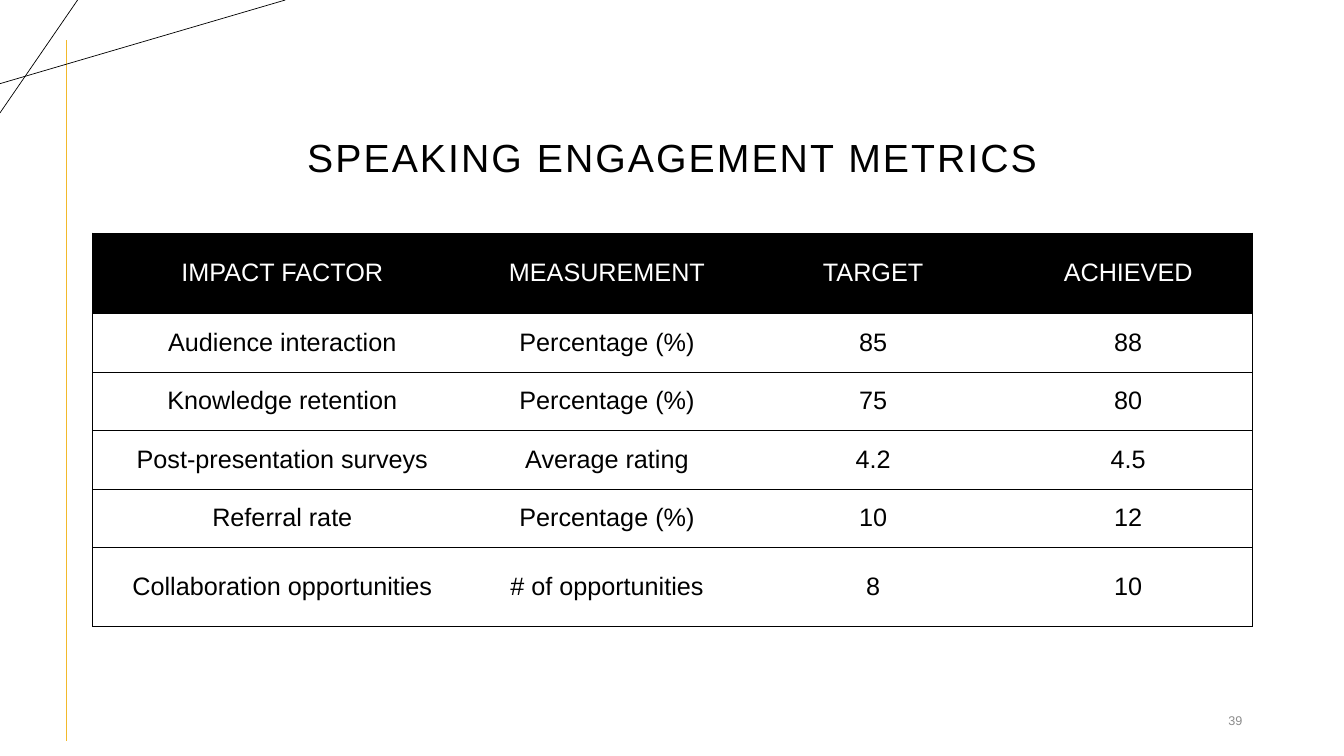
import pptx
import pptx.util
import pptx.dml.color
import pptx.enum.shapes
import pptx.enum.text
import pptx.oxml
import pptx.oxml.ns

Inches = pptx.util.Inches
Pt = pptx.util.Pt
ALIGN = pptx.enum.text.PP_ALIGN
ANCHOR = pptx.enum.text.MSO_ANCHOR
FONT = "Arial"
BLACK, WHITE, GOLD, GRAY = "000000", "FFFFFF", "F2B92B", "8C8C8C"

COLUMN_WIDTHS = [3.76, 2.68, 2.6, 2.46]
ROW_HEIGHTS = [0.8, 0.58, 0.58, 0.58, 0.58, 0.78]
METRICS = [
    ["IMPACT FACTOR", "MEASUREMENT", "TARGET", "ACHIEVED"],
    ["Audience interaction", "Percentage (%)", "85", "88"],
    ["Knowledge retention", "Percentage (%)", "75", "80"],
    ["Post-presentation surveys", "Average rating", "4.2", "4.5"],
    ["Referral rate", "Percentage (%)", "10", "12"],
    ["Collaboration opportunities", "# of opportunities", "8", "10"],
]


def rgb(color):
    """Turn a hex string into a colour."""
    return pptx.dml.color.RGBColor.from_string(color)


def format_text(tf, size, color, align):
    """Format the only paragraph of a text frame."""
    p = tf.paragraphs[0]
    p.alignment = align
    for r in p.runs:
        r.font.name = FONT
        r.font.size = Pt(size)
        r.font.color.rgb = rgb(color)
    return p


def add_line(s, start, end, color, width):
    """Draw a straight line without a shadow."""
    points = [Inches(v) for v in (*start, *end)]
    line = s.shapes.add_connector(pptx.enum.shapes.MSO_CONNECTOR.STRAIGHT, *points)
    line.line.color.rgb = rgb(color)
    line.line.width = Pt(width)
    pptx.oxml.ns.qn("a:effectLst")
    line._element.spPr.append(pptx.oxml.parse_xml(
        f'<a:effectLst {pptx.oxml.ns.nsdecls("a")}/>'))


def add_text(s, box, text, size, color, align, anchor):
    """Place one line of text in a box."""
    tf = s.shapes.add_textbox(*[Inches(v) for v in box]).text_frame
    tf.word_wrap = True
    tf.vertical_anchor = anchor
    tf.text = text
    return format_text(tf, size, color, align)


def set_borders(cell, visible):
    """Draw the named sides of a cell and clear the others."""
    tcPr = cell._tc.get_or_add_tcPr()
    for side in "LRTB":
        fill = (f'<a:solidFill><a:srgbClr val="{BLACK}"/></a:solidFill>'
                if side in visible else "<a:noFill/>")
        tcPr.append(pptx.oxml.parse_xml(
            f'<a:ln{side} {pptx.oxml.ns.nsdecls("a")} w="{Pt(0.5)}">{fill}</a:ln{side}>'))


def add_decoration(s, box):
    """Draw the corner lines and the vertical rule inside the box."""
    left, top, width, height = box
    add_line(s, (left + 0.66, top + 0.4), (left + 0.66, top + height - 0.15), GOLD, 1)
    add_line(s, (left, top + 0.83), (left + 2.83, top), BLACK, 0.5)
    add_line(s, (left + 0.77, top), (left, top + 1.12), BLACK, 0.5)


def add_title(s, box):
    """Write the spaced title at the bottom of the box."""
    p = add_text(s, box, "SPEAKING ENGAGEMENT METRICS", 28, BLACK,
                 ALIGN.CENTER, ANCHOR.BOTTOM)
    p.line_spacing = 0.9
    p.runs[0].font._element.set("spc", "150")


def add_metrics_table(s, box):
    """Build the metrics table with a black header and ruled rows."""
    table = s.shapes.add_table(len(METRICS), len(COLUMN_WIDTHS),
                               *[Inches(v) for v in box]).table
    for column, width in zip(table.columns, COLUMN_WIDTHS):
        column.width = Inches(width)
    for row, height in zip(table.rows, ROW_HEIGHTS):
        row.height = Inches(height)
    last = len(COLUMN_WIDTHS) - 1
    for i, values in enumerate(METRICS):
        for j, value in enumerate(values):
            cell = table.cell(i, j)
            cell.text = value
            cell.vertical_anchor = ANCHOR.MIDDLE
            format_text(cell.text_frame, 18, BLACK if i else WHITE, ALIGN.CENTER)
            set_borders(cell, "TB" + "L" * (j == 0) + "R" * (j == last))
            cell.fill.solid()
            cell.fill.fore_color.rgb = rgb(WHITE if i else BLACK)


def main():
    """Build and save the slide."""
    prs = pptx.Presentation()
    prs.slide_width, prs.slide_height = Inches(13.33), Inches(7.5)
    s = prs.slides.add_slide(prs.slide_layouts[6])
    add_decoration(s, (0, 0, 13.33, 7.5))
    add_title(s, (0.92, 0.39, 11.5, 1.45))
    add_metrics_table(s, (0.92, 2.31, sum(COLUMN_WIDTHS), sum(ROW_HEIGHTS)))
    add_text(s, (11.34, 6.95, 1.08, 0.4), "39", 9, GRAY, ALIGN.RIGHT, ANCHOR.MIDDLE)
    prs.save("out.pptx")


if __name__ == "__main__":
    main()
